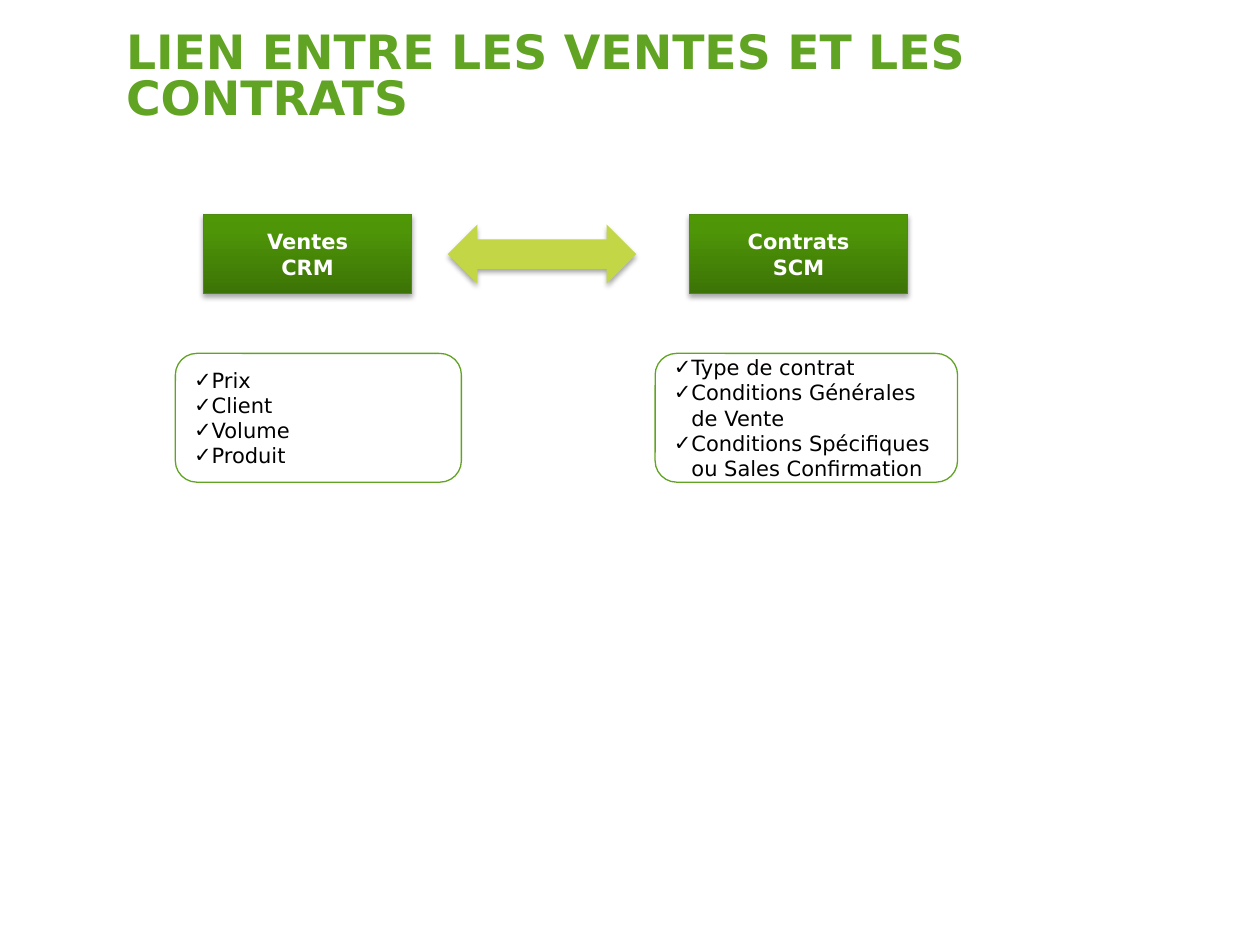
from copy import deepcopy
from dataclasses import dataclass

from lxml.etree import SubElement
from pptx import Presentation
from pptx.dml.color import RGBColor
from pptx.enum.shapes import MSO_SHAPE
from pptx.enum.text import MSO_ANCHOR, MSO_AUTO_SIZE, PP_ALIGN
from pptx.oxml.ns import qn
from pptx.shapes.autoshape import Shape
from pptx.slide import Slide
from pptx.util import Emu, Inches, Pt

FONT = "DejaVu Sans"
GREEN = RGBColor(0x61, 0xA3, 0x22)
LIME = RGBColor(0xC3, 0xD7, 0x46)
BORDER = RGBColor(0x4F, 0x89, 0x16)
WHITE = RGBColor(0xFF, 0xFF, 0xFF)
BLACK = RGBColor(0, 0, 0)
GRADIENT = [
    (0, RGBColor(0x3C, 0x73, 0x06)),
    (0.8, RGBColor(0x4E, 0x95, 0x08)),
    (1, RGBColor(0x4F, 0x98, 0x05)),
]

WIDTH, HEIGHT = Inches(10), Inches(7.5)
COLUMN, ROW = WIDTH / 100, HEIGHT / 75


@dataclass(frozen=True)
class Area:
    column: float
    row: float
    columns: float
    rows: float

    def lengths(self) -> tuple:
        return (
            Emu(round(self.column * COLUMN)),
            Emu(round(self.row * ROW)),
            Emu(round(self.columns * COLUMN)),
            Emu(round(self.rows * ROW)),
        )


@dataclass(frozen=True)
class Domain:
    heading: list[str]
    heading_area: Area
    items: list[str]
    items_area: Area


TITLE = "LIEN ENTRE LES VENTES ET LES CONTRATS"
TITLE_AREA = Area(10, 0, 84.1, 9.9)
ARROW_AREA = Area(35.54, 17.82, 14.96, 4.7)
DOMAINS = [
    Domain(
        ["Ventes", "CRM"], Area(16.14, 17.02, 16.54, 6.3),
        ["Prix", "Client", "Volume", "Produit"], Area(13.92, 28.05, 22.7, 10.22),
    ),
    Domain(
        ["Contrats", "SCM"], Area(54.72, 17.02, 17.32, 6.3),
        [
            "Type de contrat",
            "Conditions Générales de Vente",
            "Conditions Spécifiques ou Sales Confirmation",
        ],
        Area(52, 28.05, 24, 10.22),
    ),
]


def add_box(page: Slide, kind: MSO_SHAPE, area: Area) -> Shape:
    box = page.shapes.add_shape(kind, *area.lengths())
    box.shadow.inherit = False
    return box


def add_shadow(box: Shape) -> None:
    effects = box.element.spPr.find(qn("a:effectLst"))
    shadow = SubElement(
        effects, qn("a:outerShdw"), blurRad=str(Pt(3.1)), dist=str(Pt(1.8)),
        dir="5400000", rotWithShape="0",
    )
    color = SubElement(shadow, qn("a:srgbClr"), val=str(BLACK))
    SubElement(color, qn("a:alpha"), val="35000")


def fill_gradient(box: Shape) -> None:
    box.fill.gradient()
    box.fill.gradient_angle = 90
    stop_list = box.element.spPr.find(qn("a:gradFill")).find(qn("a:gsLst"))
    stop_list.append(deepcopy(stop_list[-1]))
    for stop, (position, color) in zip(box.fill.gradient_stops, GRADIENT):
        stop.position = position
        stop.color.rgb = color


def set_outline(box: Shape, color: RGBColor) -> None:
    box.line.color.rgb = color
    box.line.width = Pt(0.75)


def write_lines(box: Shape, lines: list[str], color: RGBColor, bold: bool,
                alignment: PP_ALIGN, margin: float) -> None:
    frame = box.text_frame
    frame.word_wrap = True
    frame.vertical_anchor = MSO_ANCHOR.MIDDLE
    frame.margin_left = frame.margin_right = Inches(0.1)
    frame.margin_top = frame.margin_bottom = Inches(margin)
    frame.text = "\n".join(lines)
    for para in frame.paragraphs:
        para.alignment = alignment
        para.font.name = FONT
        para.font.size = Pt(12)
        para.font.bold = bold
        para.font.color.rgb = color


def add_checks(box: Shape) -> None:
    indent = Inches(0.14)
    for para in box.text_frame.paragraphs:
        properties = para._p.get_or_add_pPr()
        properties.set("marL", str(indent))
        properties.set("indent", str(-indent))
        typeface = properties.makeelement(qn("a:buFont"), {"typeface": FONT})
        bullet = properties.makeelement(qn("a:buChar"), {"char": "✓"})
        properties.insert(0, typeface)
        properties.insert(1, bullet)


def add_title(page: Slide) -> None:
    title = page.shapes.title
    title.left, title.top, title.width, title.height = TITLE_AREA.lengths()
    frame = title.text_frame
    frame.text = TITLE
    frame.word_wrap = True
    frame.auto_size = MSO_AUTO_SIZE.NONE
    frame.vertical_anchor = MSO_ANCHOR.BOTTOM
    frame.margin_left = frame.margin_right = 0
    frame.margin_top = frame.margin_bottom = 0
    para = frame.paragraphs[0]
    para.alignment = PP_ALIGN.LEFT
    para.line_spacing = Pt(26)
    para.font.name = FONT
    para.font.size = Pt(27)
    para.font.bold = True
    para.font.color.rgb = GREEN


def add_heading(page: Slide, domain: Domain) -> None:
    box = add_box(page, MSO_SHAPE.RECTANGLE, domain.heading_area)
    fill_gradient(box)
    set_outline(box, BORDER)
    add_shadow(box)
    write_lines(box, domain.heading, WHITE, True, PP_ALIGN.CENTER, 0.1)


def add_arrow(page: Slide) -> None:
    arrow = add_box(page, MSO_SHAPE.LEFT_RIGHT_ARROW, ARROW_AREA)
    arrow.fill.solid()
    arrow.fill.fore_color.rgb = LIME
    arrow.line.fill.background()
    add_shadow(arrow)


def add_items(page: Slide, domain: Domain) -> None:
    box = add_box(page, MSO_SHAPE.ROUNDED_RECTANGLE, domain.items_area)
    box.fill.background()
    set_outline(box, GREEN)
    write_lines(box, domain.items, BLACK, False, PP_ALIGN.LEFT, 0.07)
    add_checks(box)


def main() -> None:
    deck = Presentation()
    deck.slide_width, deck.slide_height = WIDTH, HEIGHT
    page = deck.slides.add_slide(deck.slide_layouts[5])
    add_title(page)
    for domain in DOMAINS:
        add_heading(page, domain)
    add_arrow(page)
    for domain in DOMAINS:
        add_items(page, domain)
    deck.save("out.pptx")


if __name__ == "__main__":
    main()
